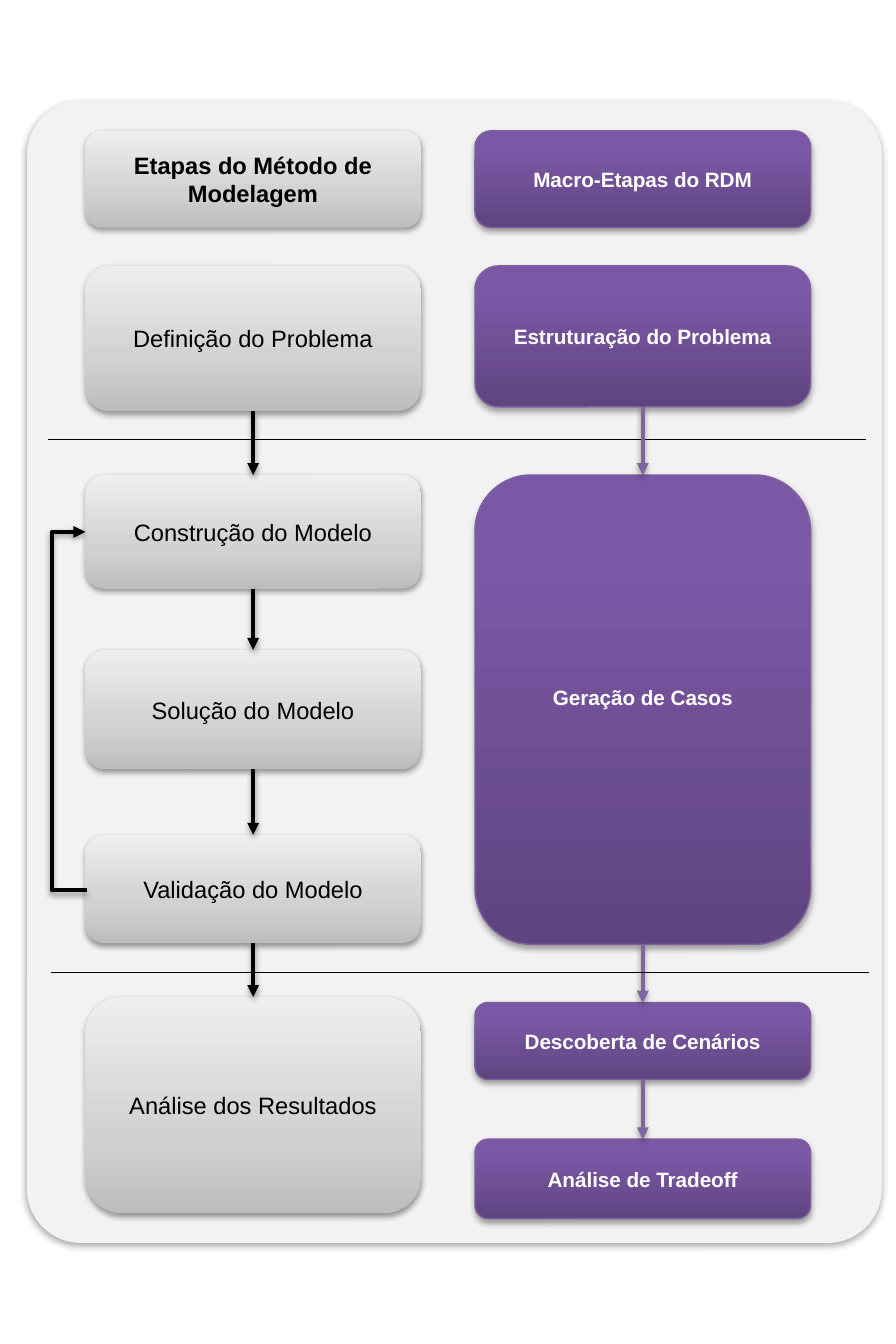
from copy import deepcopy
from dataclasses import dataclass
from typing import Optional

from lxml.etree import SubElement
from pptx import Presentation
from pptx.dml.color import RGBColor
from pptx.enum.shapes import MSO_CONNECTOR, MSO_SHAPE
from pptx.enum.text import MSO_ANCHOR, PP_ALIGN
from pptx.oxml.ns import qn
from pptx.util import Inches, Pt

BLACK = RGBColor(0x00, 0x00, 0x00)
WHITE = RGBColor(0xFF, 0xFF, 0xFF)
PANEL = RGBColor(0xF2, 0xF2, 0xF2)
PURPLE_EDGE = RGBColor(0x7D, 0x60, 0xA0)
PURPLE_ARROW = RGBColor(0x80, 0x64, 0xA2)
GREY_STOPS = [(0, RGBColor(0xBD, 0xBD, 0xBD)), (0.35, RGBColor(0xD1, 0xD1, 0xD1)),
              (1, RGBColor(0xEE, 0xEE, 0xEE))]
PURPLE_STOPS = [(0, RGBColor(0x5F, 0x44, 0x80)), (0.8, RGBColor(0x7B, 0x58, 0xA6)),
                (1, RGBColor(0x7C, 0x57, 0xA8))]
BOX_WIDTH = 2.36


@dataclass
class Shadow:
    alpha: int
    distance: float


@dataclass
class Step:
    text: str
    top: float
    height: float
    bold: bool = False
    bottom_inset: float = 0.05


@dataclass
class Column:
    left: float
    stops: list[tuple[float, RGBColor]]
    edge: Optional[RGBColor]
    arrow: RGBColor
    font_color: RGBColor
    font_size: float
    shadow: Shadow
    steps: list[Step]  # the first step is the column heading

    @property
    def middle(self) -> float:
        return self.left + BOX_WIDTH / 2


DEEP = Shadow(35, 1.8)
SOFT = Shadow(38, 1.6)

METHOD = Column(0.6, GREY_STOPS, None, BLACK, BLACK, 12, SOFT, [
    Step("Etapas do Método de Modelagem", 0.92, 0.68, bold=True),
    Step("Definição do Problema", 1.87, 1.02),
    Step("Construção do Modelo", 3.34, 0.8),
    Step("Solução do Modelo", 4.57, 0.84),
    Step("Validação do Modelo", 5.87, 0.76),
    Step("Análise dos Resultados", 7.01, 1.52),
])
RDM = Column(3.34, PURPLE_STOPS, PURPLE_EDGE, PURPLE_ARROW, WHITE, 10.5, DEEP, [
    Step("Macro-Etapas do RDM", 0.92, 0.68, bold=True),
    Step("Estruturação do Problema", 1.87, 0.99, bold=True),
    Step("Geração de Casos", 3.34, 3.3, bold=True, bottom_inset=0.22),
    Step("Descoberta de Cenários", 7.05, 0.54, bold=True),
    Step("Análise de Tradeoff", 8.01, 0.56, bold=True),
])


def set_shadow(s, shadow: Optional[Shadow]) -> None:
    """Give a shape or connector its own effect list, with a shadow below it."""
    spPr = s._element.spPr
    effects = spPr.find(qn("a:effectLst"))
    if effects is None:
        effects = SubElement(spPr, qn("a:effectLst"))
    if shadow:
        outer = SubElement(effects, qn("a:outerShdw"), blurRad=str(Pt(3.1)),
                           dist=str(Pt(shadow.distance)), dir="5400000", rotWithShape="0")
        color = SubElement(outer, qn("a:srgbClr"), val=str(BLACK))
        SubElement(color, qn("a:alpha"), val=str(shadow.alpha * 1000))


def add_box(left: float, top: float, width: float, height: float, shadow: Shadow):
    s = slide.shapes.add_shape(MSO_SHAPE.ROUNDED_RECTANGLE, Inches(left), Inches(top),
                               Inches(width), Inches(height))
    s.shadow.inherit = False
    set_shadow(s, shadow)
    s.line.fill.background()
    return s


def add_step(col: Column, step: Step) -> None:
    s = add_box(col.left, step.top, BOX_WIDTH, step.height, col.shadow)
    s.fill.gradient()
    s.fill.gradient_angle = 90
    stop_list = s._element.spPr.find(".//" + qn("a:gsLst"))
    stop_list.append(deepcopy(stop_list[0]))
    for stop, (position, color) in zip(s.fill.gradient_stops, col.stops):
        stop.position = position
        stop.color.rgb = color
    if col.edge:
        s.line.color.rgb = col.edge
        s.line.width = Pt(0.75)
    tf = s.text_frame
    tf.text = step.text
    tf.word_wrap = True
    tf.vertical_anchor = MSO_ANCHOR.MIDDLE
    tf.margin_bottom = Inches(step.bottom_inset)
    p = tf.paragraphs[0]
    p.alignment = PP_ALIGN.CENTER
    font = p.runs[0].font
    font.name = "Arial"
    font.size = Pt(col.font_size)
    font.bold = step.bold
    font.color.rgb = col.font_color


def add_line(x1: float, y1: float, x2: float, y2: float, color: RGBColor = BLACK,
             arrow: bool = False, kind: MSO_CONNECTOR = MSO_CONNECTOR.STRAIGHT):
    s = slide.shapes.add_connector(kind, Inches(x1), Inches(y1), Inches(x2), Inches(y2))
    s.line.color.rgb = color
    s.line.width = Pt(2 if arrow else 0.75)
    if arrow:
        SubElement(s.line._get_or_add_ln(), qn("a:tailEnd"), type="triangle")
    set_shadow(s, SOFT if arrow else None)
    return s


prs = Presentation()
prs.slide_width, prs.slide_height = Inches(6.3), Inches(9.45)
slide = prs.slides.add_slide(prs.slide_layouts[6])

# Background panel and upper divider
panel = add_box(0.19, 0.71, 6.01, 8.03, DEEP)
panel.adjustments[0] = 0.063
panel.fill.solid()
panel.fill.fore_color.rgb = PANEL
add_line(0.34, 3.09, 6.09, 3.09)

# Boxes of both columns
for col in (RDM, METHOD):
    for step in col.steps:
        add_step(col, step)

# Arrows between consecutive steps, below the headings
for col in (RDM, METHOD):
    for upper, lower in zip(col.steps[1:], col.steps[2:]):
        add_line(col.middle, upper.top + upper.height, col.middle, lower.top,
                 col.arrow, arrow=True)

# Lower divider
add_line(0.36, 6.84, 6.11, 6.84)

# Feedback from validation to construction, bending 0.25 inch to the left
feedback = add_line(0.61, 6.26, 0.6, 3.74, arrow=True, kind=MSO_CONNECTOR.ELBOW)
geometry = feedback._element.spPr.find(qn("a:prstGeom"))
guides = geometry.find(qn("a:avLst"))
if guides is None:
    guides = SubElement(geometry, qn("a:avLst"))
SubElement(guides, qn("a:gd"), name="adj1", fmla="val 2500000")

prs.save("out.pptx")
